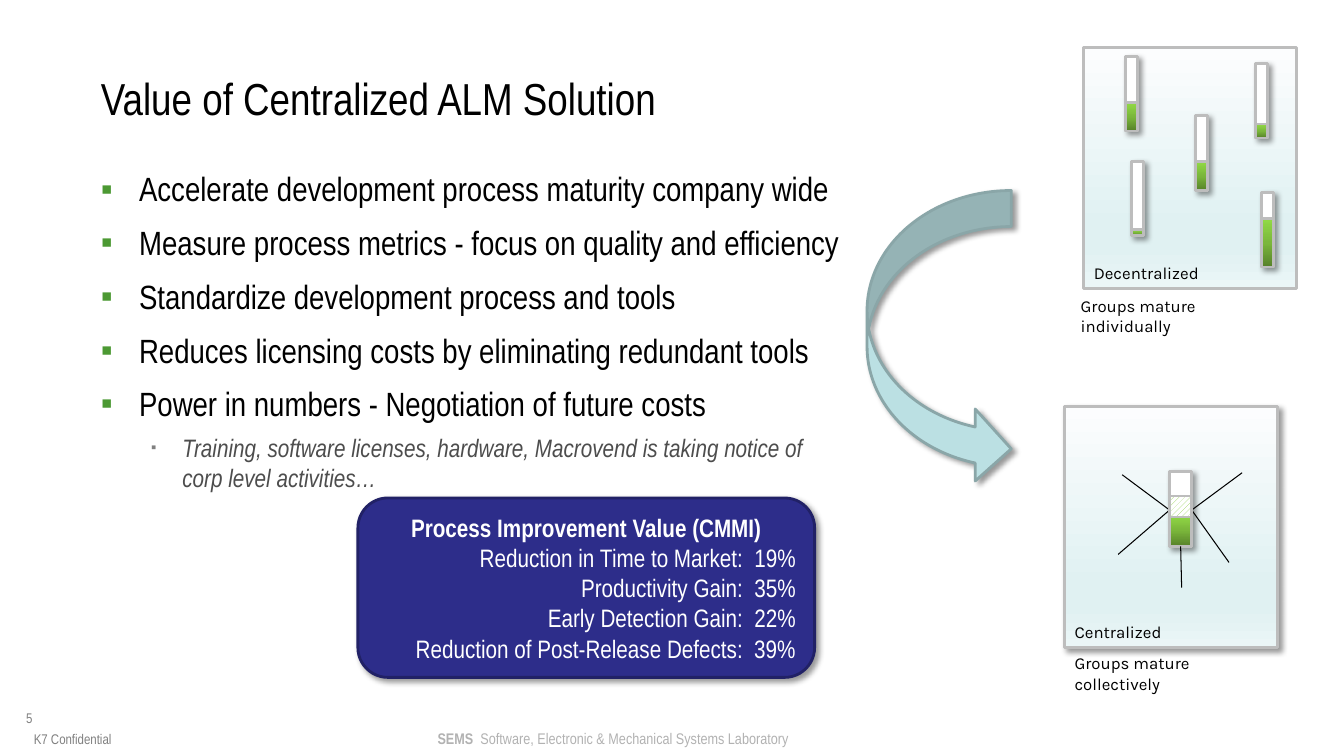
"""Build the slide on the value of a centralized ALM solution."""
from lxml import etree
from pptx import Presentation
from pptx import util as u
from pptx.dml import color as dml
from pptx.enum import dml as patterns
from pptx.enum import shapes, text
from pptx.oxml import ns

COLORS = {
    "black": "000000", "white": "FFFFFF", "gray": "808080", "pale": "B2B2B2",
    "dark": "4D4D4D", "bullet": "4C9933", "frame": "BDBDBD", "hatch": "92D050",
    "arrow": "BBE0E3", "arrow_edge": "8AA6A8", "navy": "2D2D8A", "navy_edge": "212166",
}
PANEL_STOPS = [(0, "FCFDFE"), (74, "E0F1F2"), (83, "E0F1F2"), (100, "EBF6F7")]
LEVEL_STOPS = [(0, "92DA46"), (50, "7BB73B"), (100, "57812A")]
NARROW, KARLA = "Arial Narrow", "Karla"

TITLE = "Value of Centralized ALM Solution"
BENEFITS = [
    "Accelerate development process maturity company wide",
    "Measure process metrics - focus on quality and efficiency",
    "Standardize development process and tools",
    "Reduces licensing costs by eliminating redundant tools",
    "Power in numbers - Negotiation of future costs",
]
DETAIL = ("Training, software licenses, hardware, Macrovend is taking notice of corp "
          "level activities…")
CALLOUT_HEAD = "Process Improvement Value (CMMI)"
GAINS = [
    ("Reduction in Time to Market", 19),
    ("Productivity Gain", 35),
    ("Early Detection Gain", 22),
    ("Reduction of Post-Release Defects", 39),
]
PAGE, NOTICE = "5", "K7 Confidential"
LAB = ("SEMS", "  Software, Electronic & Mechanical Systems Laboratory")

COLUMNS, ROWS = 133.3, 75
CELL = u.Inches(0.1)
PANEL_SIZE = (21.1, 23.9)
PANELS = [
    ("Decentralized", (107.5, 4.7), False, "Groups mature individually", (106.2, 28.8)),
    ("Centralized", (105.6, 40.3), True, "Groups mature collectively", (105.6, 64.3)),
]
BAR_HEIGHT = 7.4
GROUP_BARS = [
    (112.2, 13, 2.8), (125.1, 13.7, 1.4), (112.8, 23.4, 0.6),
    (125.7, 26.5, 4.8), (119.2, 18.9, 2.9),
]
CENTRAL_BAR = (117.1, 54.2, 3.2)
SPOKES = [
    ((111.3, 47.1), (116, 50.6)), ((110.9, 55), (116, 50.6)),
    ((118.2, 50.6), (121.9, 55.8)), ((118.2, 50.6), (123.2, 46.9)),
    ((117.1, 54.2), (117.2, 58.3)),
]


def cells(*values):
    return [u.Emu(int(value * CELL)) for value in values]


def rgb(name):
    return dml.RGBColor.from_string(COLORS[name])


def set_bullet(paragraph, margin, hanging, color, size=100):
    properties = paragraph._p.get_or_add_pPr()
    properties.set("marL", str(u.Inches(margin)))
    properties.set("indent", str(-u.Inches(hanging)))
    holder = etree.SubElement(properties, ns.qn("a:buClr"))
    etree.SubElement(holder, ns.qn("a:srgbClr"), val=COLORS[color])
    etree.SubElement(properties, ns.qn("a:buSzPct"), val=str(size * 1000))
    etree.SubElement(properties, ns.qn("a:buFont"), typeface="Arial")
    etree.SubElement(properties, ns.qn("a:buChar"), char="▪")


def write(frame, content, *, size, font=NARROW, color="black", bold=False, italic=False,
          align=text.PP_ALIGN.LEFT, new=False, before=0, after=0, bullet=None):
    """Write one paragraph into a text frame and return it."""
    paragraph = frame.add_paragraph() if new else frame.paragraphs[0]
    if bullet:
        set_bullet(paragraph, **bullet)
    paragraph.alignment = align
    paragraph.space_before, paragraph.space_after = u.Pt(before), u.Pt(after)
    add_run(paragraph, content, size, font, color, bold, italic)
    return paragraph


def add_run(paragraph, content, size, font, color, bold=False, italic=False):
    run = paragraph.add_run()
    run.text = content
    run.font.name, run.font.size = font, u.Pt(size)
    run.font.bold, run.font.italic = bold, italic
    run.font.color.rgb = rgb(color)


def format_frame(frame, inset=0, anchor=text.MSO_ANCHOR.TOP, wrap=True):
    frame.auto_size = text.MSO_AUTO_SIZE.NONE
    frame.word_wrap, frame.vertical_anchor = wrap, anchor
    frame.margin_left = frame.margin_right = u.Inches(inset)
    frame.margin_top = frame.margin_bottom = u.Inches(inset / 2)
    return frame


def add_text(slide, box, **layout):
    return format_frame(slide.shapes.add_textbox(*cells(*box)).text_frame, **layout)


def add_gradient(shape, stops):
    gradient = etree.Element(ns.qn("a:gradFill"), rotWithShape="1")
    stop_list = etree.SubElement(gradient, ns.qn("a:gsLst"))
    for share, value in stops:
        stop = etree.SubElement(stop_list, ns.qn("a:gs"), pos=str(share * 1000))
        etree.SubElement(stop, ns.qn("a:srgbClr"), val=value)
    etree.SubElement(gradient, ns.qn("a:lin"), ang="5400000", scaled="0")
    shape._element.spPr.find(ns.qn("a:prstGeom")).addnext(gradient)


def add_shadow(shape):
    effects = shape._element.spPr.find(ns.qn("a:effectLst"))
    shadow = etree.SubElement(effects, ns.qn("a:outerShdw"), blurRad=str(u.Pt(4)),
                              dist=str(u.Pt(3)), dir="2700000", algn="tl", rotWithShape="0")
    value = etree.SubElement(shadow, ns.qn("a:srgbClr"), val=COLORS["black"])
    etree.SubElement(value, ns.qn("a:alpha"), val="40000")


def add_shape(slide, kind, box, fill=None, stops=None, edge="frame", shadow=False):
    shape = slide.shapes.add_shape(kind, *cells(*box))
    shape.shadow.inherit = False
    if stops:
        add_gradient(shape, stops)
    else:
        shape.fill.solid()
        shape.fill.fore_color.rgb = rgb(fill)
    shape.line.color.rgb, shape.line.width = rgb(edge), u.Pt(2)
    if shadow:
        add_shadow(shape)
    return shape


def add_bar(slide, center, bottom, level, width):
    left, rectangle = center - width / 2, shapes.MSO_SHAPE.RECTANGLE
    add_shape(slide, rectangle, (left, bottom - BAR_HEIGHT, width, BAR_HEIGHT),
              "white", shadow=True)
    add_shape(slide, rectangle, (left, bottom - level, width, level), stops=LEVEL_STOPS)


def add_panels(slide):
    for name, corner, shadow, caption, place in PANELS:
        panel = add_shape(slide, shapes.MSO_SHAPE.RECTANGLE, corner + PANEL_SIZE,
                          stops=PANEL_STOPS, shadow=shadow)
        frame = format_frame(panel.text_frame, inset=0.1, anchor=text.MSO_ANCHOR.BOTTOM)
        write(frame, name, size=12, font=KARLA)
        frame = add_text(slide, place + (17, 5), inset=0.1)
        write(frame, caption, size=12, font=KARLA)
    for bar in GROUP_BARS:
        add_bar(slide, *bar, width=1.2)
    add_bar(slide, *CENTRAL_BAR, width=2.2)
    for start, end in SPOKES:
        spoke = slide.shapes.add_connector(shapes.MSO_CONNECTOR.STRAIGHT, *cells(*start, *end))
        spoke.line.color.rgb, spoke.line.width = rgb("black"), u.Pt(0.75)
        etree.SubElement(spoke._element.spPr, ns.qn("a:effectLst"))
    hatch = add_shape(slide, shapes.MSO_SHAPE.RECTANGLE, (116, 49.2, 2.2, 2.1), "white")
    hatch.fill.patterned()
    hatch.fill.pattern = patterns.MSO_PATTERN.WIDE_UPWARD_DIAGONAL
    hatch.fill.fore_color.rgb, hatch.fill.back_color.rgb = rgb("hatch"), rgb("white")


def main():
    presentation = Presentation()
    presentation.slide_width, presentation.slide_height = cells(COLUMNS, ROWS)
    slide = presentation.slides.add_slide(presentation.slide_layouts[5])
    title = slide.shapes.title
    title.left, title.top, title.width, title.height = cells(10, 6.8, 120, 5.8)
    write(format_frame(title.text_frame, anchor=text.MSO_ANCHOR.MIDDLE), TITLE, size=32)

    write(add_text(slide, (2.6, 70.4, 7.1, 2.5)), PAGE, size=10, color="gray")
    lab = write(add_text(slide, (43.4, 72.3, 35, 1.9), wrap=False), LAB[0],
                size=11, color="pale", bold=True)
    add_run(lab, LAB[1], 11, NARROW, "pale")
    write(add_text(slide, (1.1, 71.9, 12.2, 2.2), anchor=text.MSO_ANCHOR.BOTTOM), NOTICE,
          size=10, color="gray", align=text.PP_ALIGN.CENTER)

    body = add_text(slide, (10, 16.7, 73.7, 45.3))
    for index, benefit in enumerate(BENEFITS):
        write(body, benefit, size=24, new=index > 0, before=5.5 if index else 0, after=4.1,
              bullet={"margin": 0.38, "hanging": 0.38, "color": "bullet"})
    detail = write(body, DETAIL, size=18, color="dark", italic=True, new=True, before=2, after=4,
                   bullet={"margin": 0.81, "hanging": 0.31, "color": "gray", "size": 60})
    detail.level = 1

    add_panels(slide)
    add_shape(slide, shapes.MSO_SHAPE.CURVED_RIGHT_ARROW, (86, 18.9, 14.3, 29.2),
              "arrow", edge="arrow_edge", shadow=True)
    callout = add_shape(slide, shapes.MSO_SHAPE.ROUNDED_RECTANGLE, (35.5, 49.4, 45.3, 17.8),
                        "navy", edge="navy_edge", shadow=True)
    frame = format_frame(callout.text_frame, inset=0.1, anchor=text.MSO_ANCHOR.MIDDLE)
    write(frame, CALLOUT_HEAD, size=18, color="white", bold=True, align=text.PP_ALIGN.CENTER)
    for label, percent in GAINS:
        write(frame, f"{label}:  {percent}%", size=18, color="white",
              align=text.PP_ALIGN.RIGHT, new=True)
    presentation.save("out.pptx")


if __name__ == "__main__":
    main()
